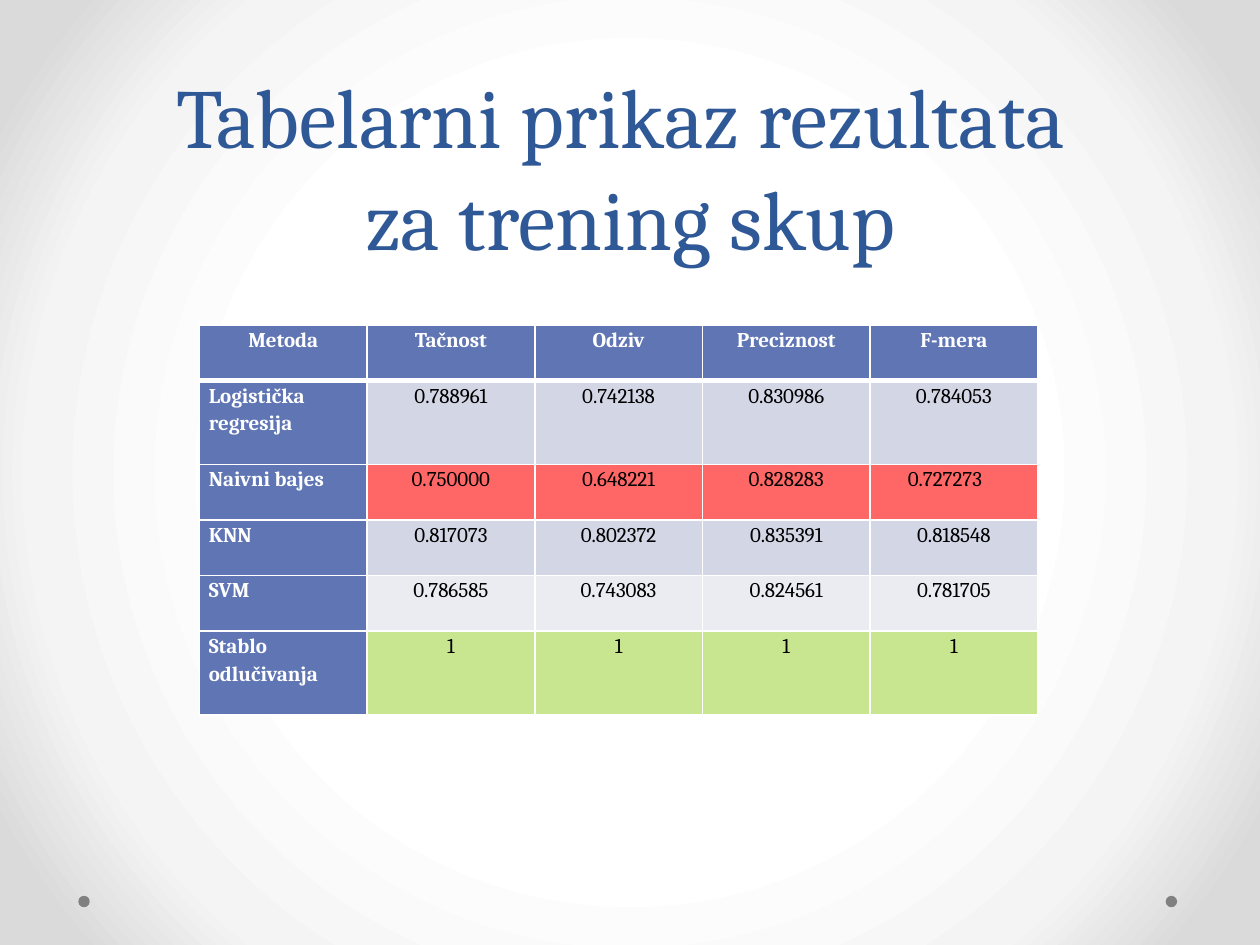
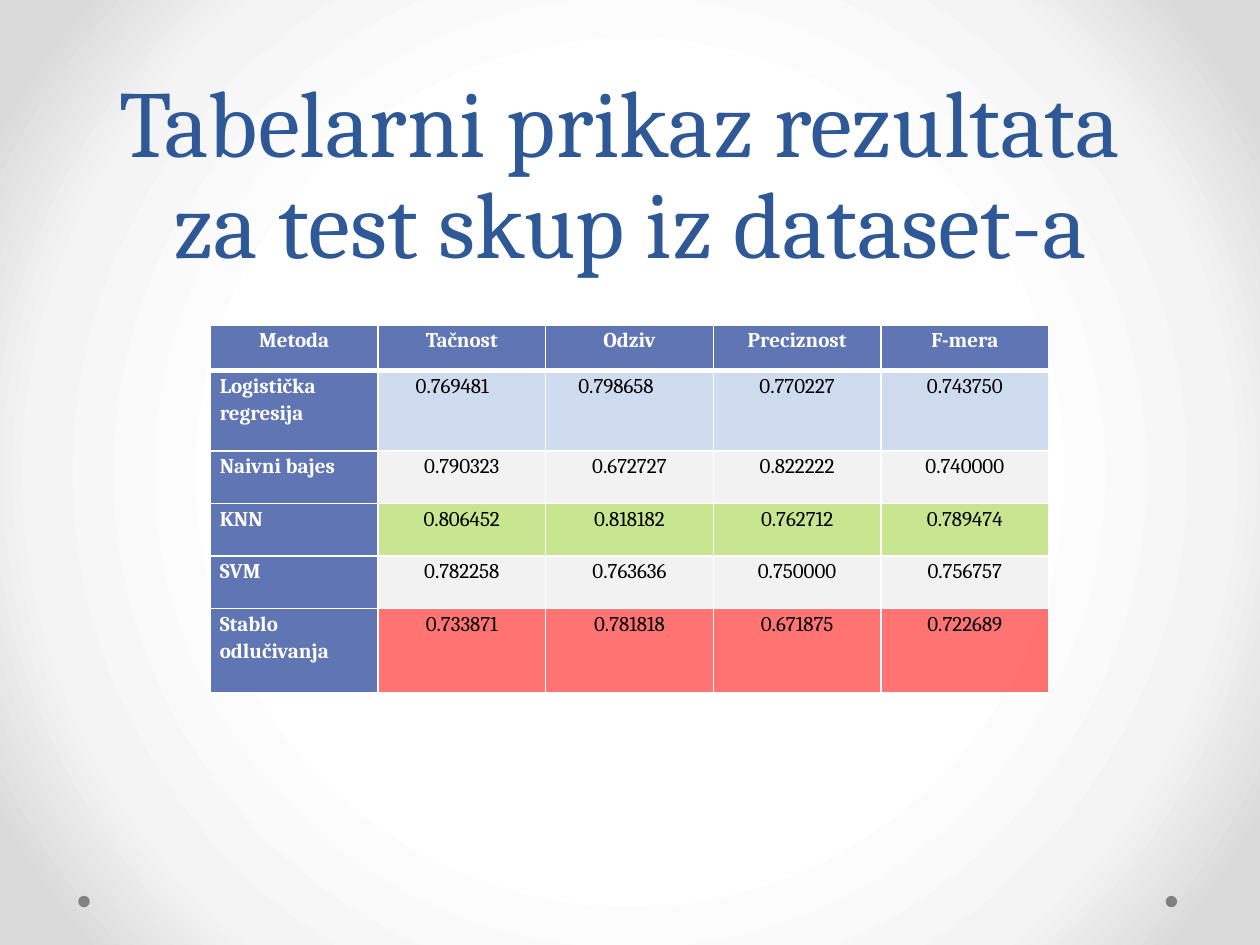
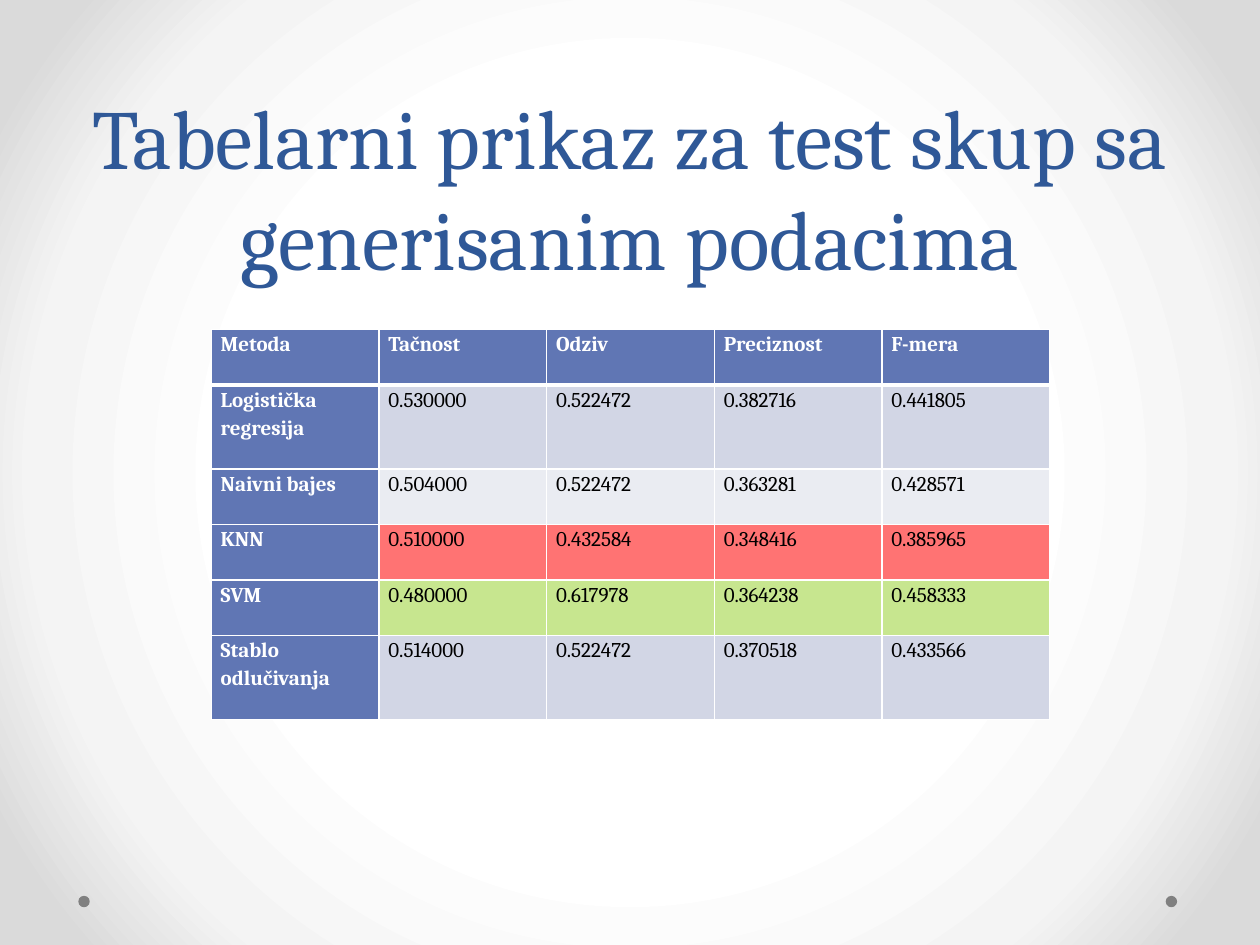
"""Build three slides that tabulate classifier results."""
import pptx
import pptx.dml.color
import pptx.enum.shapes
import pptx.enum.text
import pptx.oxml
import pptx.oxml.ns
import pptx.util

Cm = pptx.util.Cm
Pt = pptx.util.Pt
ALIGN = pptx.enum.text.PP_ALIGN
FONT = "Cambria"
TITLE_BLUE, HEADER_BLUE = "2F5897", "6076B4"
WHITE, BLACK, GREY = "FFFFFF", "000000", "808080"
DARK_BAND, LIGHT_BAND = "D2D6E5", "EAECF2"
SKY, PALE, BEST, WORST = "CFDCF0", "F2F2F2", "C7E68F", "FF0000"
COLUMN_WIDTH, CELL_MARGIN = 3.38, 0.19
HEADINGS = ["Metoda", "Tačnost", "Odziv", "Preciznost", "F-mera"]
METHODS = ["Logistička regresija", "Naivni bajes", "KNN", "SVM", "Stablo odlučivanja"]
TALL_ROWS = [1.12, 1.69, 1.12, 1.12, 1.12, 1.69]
COMPACT_ROWS = [0.92, 1.62, 1.06, 1.06, 1.06, 1.69]

SLIDES = [
    {
        "title": "Tabelarni prikaz rezultata \vza trening skup",
        "size": 48, "title_height": 5.51, "left": 4.02, "top": 6.55,
        "rows": TALL_ROWS, "align": ALIGN.CENTER, "opacity": 60,
        "fills": [DARK_BAND, WORST, DARK_BAND, LIGHT_BAND, BEST],
        "indents": {(2, 4): 0.57},
        "values": [
            ["0.788961", "0.742138", "0.830986", "0.784053"],
            ["0.750000", "0.648221", "0.828283", "0.727273"],
            ["0.817073", "0.802372", "0.835391", "0.818548"],
            ["0.786585", "0.743083", "0.824561", "0.781705"],
            ["1", "1", "1", "1"],
        ],
    },
    {
        "title": "Tabelarni prikaz rezultata \vza test skup iz dataset-a",
        "size": 54, "title_height": 5.72, "left": 4.24, "top": 6.55,
        "rows": COMPACT_ROWS, "align": ALIGN.CENTER, "opacity": 55,
        "fills": [SKY, PALE, BEST, PALE, WORST],
        "indents": {(1, 1): 0.57, (1, 2): 0.47},
        "values": [
            ["0.769481", "0.798658", "0.770227", "0.743750"],
            ["0.790323", "0.672727", "0.822222", "0.740000"],
            ["0.806452", "0.818182", "0.762712", "0.789474"],
            ["0.782258", "0.763636", "0.750000", "0.756757"],
            ["0.733871", "0.781818", "0.671875", "0.722689"],
        ],
    },
    {
        "title": "Tabelarni prikaz za test skup sa generisanim podacima",
        "size": 48, "title_height": 5.93, "left": 4.26, "top": 6.64,
        "rows": TALL_ROWS, "align": ALIGN.JUSTIFY, "opacity": 55,
        "fills": [DARK_BAND, LIGHT_BAND, WORST, BEST, DARK_BAND],
        "indents": {},
        "values": [
            ["0.530000", "0.522472", "0.382716", "0.441805"],
            ["0.504000", "0.522472", "0.363281", "0.428571"],
            ["0.510000", "0.432584", "0.348416", "0.385965"],
            ["0.480000", "0.617978", "0.364238", "0.458333"],
            ["0.514000", "0.522472", "0.370518", "0.433566"],
        ],
    },
]


def rgb(value):
    """Turn a hex string into a colour."""
    return pptx.dml.color.RGBColor.from_string(value)


def element(markup):
    """Make a drawing element from markup whose first tag takes the namespace."""
    end = min(markup.index(mark) for mark in " >" if mark in markup)
    return pptx.oxml.parse_xml(markup[:end] + " " + pptx.oxml.ns.nsdecls("a") + markup[end:])


deck = pptx.Presentation()
deck.slide_width, deck.slide_height = Cm(25.4), Cm(19.05)
master = deck.slide_master
master.background.fill.background()
background = master.element.xpath(".//p:bgPr")[0]
stops = "".join(
    f'<a:gs pos="{position * 1000}"><a:srgbClr val="{color}"/></a:gs>'
    for position, color in [(50, WHITE), (76, "F4F4F4"), (92, "DADADA")]
)
background.replace(background[0], element(
    f'<a:gradFill rotWithShape="1"><a:gsLst>{stops}</a:gsLst><a:path path="circle">'
    '<a:fillToRect l="50000" t="50000" r="50000" b="50000"/></a:path></a:gradFill>'
))

pages = [deck.slides.add_slide(deck.slide_layouts[5]) for _ in SLIDES]
for number, left in enumerate([23.5, 1.58]):
    dot = pages[0].shapes.add_shape(
        pptx.enum.shapes.MSO_SHAPE.OVAL, Cm(left), Cm(18.06), Cm(0.23), Cm(0.23))
    dot.shadow.inherit = False
    dot.fill.solid()
    dot.fill.fore_color.rgb = rgb(GREY)
    dot.line.fill.background()
    dot.name = f"Footer dot {number + 1}"
    dot.element.nvSpPr.cNvPr.set("id", str(20 + number))
    master.shapes.element.append(dot.element)

for page, content in zip(pages, SLIDES):
    title = page.shapes.title
    title.left, title.top = Cm(1.27), Cm(0)
    title.width, title.height = Cm(22.86), Cm(content["title_height"])
    frame = title.text_frame
    frame.text = content["title"]
    frame.word_wrap = True
    frame.auto_size = pptx.enum.text.MSO_AUTO_SIZE.NONE
    frame.vertical_anchor = pptx.enum.text.MSO_ANCHOR.BOTTOM
    para = frame.paragraphs[0]
    para.alignment = ALIGN.CENTER
    para.line_spacing = Pt(58)
    para.font.name, para.font.size = FONT, Pt(content["size"])
    para.font.color.rgb = rgb(TITLE_BLUE)

    heights = content["rows"]
    table = page.shapes.add_table(
        len(heights), len(HEADINGS), Cm(content["left"]), Cm(content["top"]),
        Cm(COLUMN_WIDTH * len(HEADINGS)), Cm(sum(heights))).table
    table.first_col = True
    table.horz_banding = False
    for column in table.columns:
        column.width = Cm(COLUMN_WIDTH)
    body = [[method, *values] for method, values in zip(METHODS, content["values"])]
    for row, texts in enumerate([HEADINGS, *body]):
        table.rows[row].height = Cm(heights[row])
        for column, text in enumerate(texts):
            cell = table.cell(row, column)
            heading = row == 0 or column == 0
            indent = content["indents"].get((row, column), 0)
            cell.margin_left, cell.margin_right = Cm(CELL_MARGIN + indent), Cm(CELL_MARGIN)
            cell.margin_top = cell.margin_bottom = Cm(0)
            properties = cell._tc.get_or_add_tcPr()
            for side in "LRTB":
                thick = (row, side) in [(0, "B"), (1, "T")]
                properties.append(element(
                    f'<a:ln{side} w="{Pt(3 if thick else 1)}"><a:solidFill>'
                    f'<a:srgbClr val="{WHITE}"/></a:solidFill></a:ln{side}>'))
            color = HEADER_BLUE if heading else content["fills"][row - 1]
            cell.fill.solid()
            cell.fill.fore_color.rgb = rgb(color)
            if color == WORST:
                properties.xpath("./a:solidFill/a:srgbClr")[0].append(
                    element(f'<a:alpha val="{content["opacity"] * 1000}"/>'))
            cell.text = text
            para = cell.text_frame.paragraphs[0]
            justified = indent or (row > 0 and column == 0)
            para.alignment = ALIGN.JUSTIFY if justified else content["align"]
            para.line_spacing = 1.15
            para.font.name, para.font.size = FONT, Pt(12)
            para.font.bold = heading
            para.font.color.rgb = rgb(WHITE if heading else BLACK)

deck.save("out.pptx")
